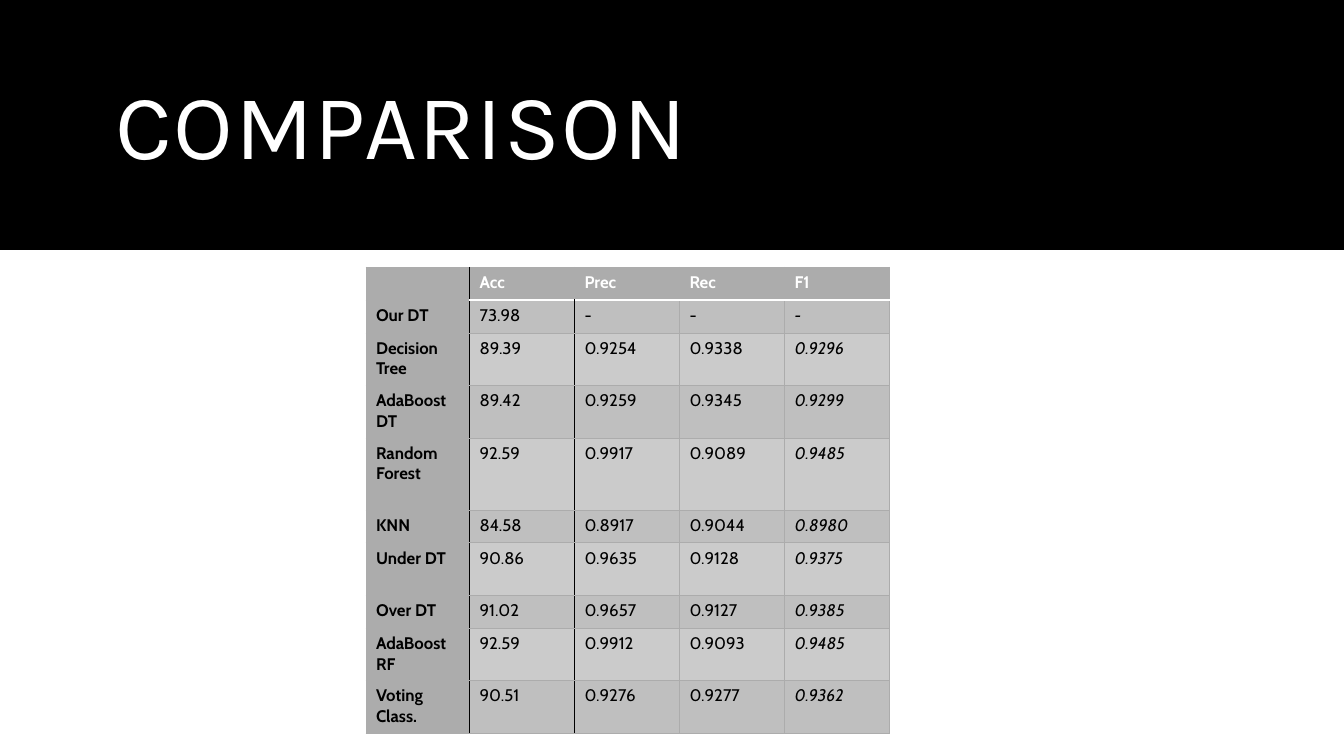
from dataclasses import dataclass

from lxml.etree import SubElement
from pptx import Presentation
from pptx.dml.color import RGBColor
from pptx.enum.shapes import MSO_SHAPE
from pptx.enum.text import MSO_ANCHOR
from pptx.oxml.ns import qn
from pptx.util import Pt


@dataclass(frozen=True)
class Theme:
    black: str = "000000"
    white: str = "FFFFFF"
    grey: str = "ACACAC"
    dark_band: str = "BFBFBF"
    light_band: str = "CBCBCB"
    title_font: str = "Karla"
    table_font: str = "Cabin"
    title_size: float = 66
    table_size: float = 12
    title_spacing: float = 1.2
    thin: float = 0.5
    thick: float = 1


class SlideBuilder:
    def __init__(self, slide, theme):
        self.slide = slide
        self.theme = theme

    def band(self, left, top, width, height, color):
        band = self.slide.shapes.add_shape(
            MSO_SHAPE.RECTANGLE, Pt(left), Pt(top), Pt(width), Pt(height))
        band.shadow.inherit = False
        band.fill.solid()
        band.fill.fore_color.rgb = RGBColor.from_string(color)
        band.line.fill.background()

    def run(self, paragraph, text, font, size, color, bold=False, italic=False):
        run = paragraph.add_run()
        run.text = text
        run.font.name = font
        run.font.size = Pt(size)
        run.font.bold = bold
        run.font.italic = italic
        run.font.color.rgb = RGBColor.from_string(color)
        return run

    def title(self, left, top, width, height, text):
        theme = self.theme
        frame = self.slide.shapes.add_textbox(
            Pt(left), Pt(top), Pt(width), Pt(height)).text_frame
        frame.word_wrap = True
        frame.vertical_anchor = MSO_ANCHOR.MIDDLE
        paragraph = frame.paragraphs[0]
        paragraph.line_spacing = 0.9
        run = self.run(paragraph, text, theme.title_font, theme.title_size, theme.white)
        run.font._element.set("spc", str(round(theme.title_spacing * 100)))

    def border(self, cell, side, color, width):
        line = SubElement(cell._tc.get_or_add_tcPr(), qn(f"a:ln{side}"), w=str(Pt(width)))
        SubElement(SubElement(line, qn("a:solidFill")), qn("a:srgbClr"), val=color)

    def borders(self, cell, row, column):
        theme = self.theme
        thin, divider = (theme.grey, theme.thin), (theme.black, theme.thick)
        header_rule = (theme.white, theme.thick)

        def vertical(edge):
            # The second divider starts below the header row
            return divider if edge == 1 or (edge == 2 and row > 0) else thin

        sides = {
            "L": vertical(column),
            "R": vertical(column + 1),
            "T": header_rule if row == 1 and column > 0 else thin,
            "B": header_rule if row == 0 and column > 0 else thin,
        }
        for side, (color, width) in sides.items():
            self.border(cell, side, color, width)

    def table(self, left, top, widths, heights, rows):
        theme = self.theme
        table = self.slide.shapes.add_table(
            len(rows), len(widths), Pt(left), Pt(top),
            Pt(sum(widths)), Pt(sum(heights))).table
        for column, width in zip(table.columns, widths):
            column.width = Pt(width)
        for r, (height, texts) in enumerate(zip(heights, rows)):
            table.rows[r].height = Pt(height)
            for c, text in enumerate(texts):
                cell = table.cell(r, c)
                heading = r == 0 or c == 0
                band = theme.dark_band if r % 2 else theme.light_band
                self.borders(cell, r, c)
                cell.fill.solid()
                cell.fill.fore_color.rgb = RGBColor.from_string(
                    theme.grey if heading else band)
                paragraph = cell.text_frame.paragraphs[0]
                paragraph.font.size = Pt(theme.table_size)
                if text:
                    self.run(paragraph, text, theme.table_font, theme.table_size,
                             theme.white if r == 0 else theme.black,
                             bold=heading, italic=r > 0 and c == len(texts) - 1)


SCORES = [
    ("", "Acc", "Prec", "Rec", "F1"),
    ("Our DT", "73.98", "-", "-", "-"),
    ("Decision Tree", "89.39", "0.9254", "0.9338", "0.9296"),
    ("AdaBoost DT", "89.42", "0.9259", "0.9345", "0.9299"),
    ("Random Forest", "92.59", "0.9917", "0.9089", "0.9485"),
    ("KNN", "84.58", "0.8917", "0.9044", "0.8980"),
    ("Under DT", "90.86", "0.9635", "0.9128", "0.9375"),
    ("Over DT", "91.02", "0.9657", "0.9127", "0.9385"),
    ("AdaBoost RF", "92.59", "0.9912", "0.9093", "0.9485"),
    ("Voting Class.", "90.51", "0.9276", "0.9277", "0.9362"),
]
SINGLE, DOUBLE, TRIPLE = 23.5, 37.5, 51.5
ROW_HEIGHTS = [SINGLE, SINGLE, DOUBLE, DOUBLE, TRIPLE,
               SINGLE, DOUBLE, SINGLE, DOUBLE, DOUBLE]
COLUMN_WIDTHS = [74] + [75] * 4


def main():
    presentation = Presentation()
    presentation.slide_width, presentation.slide_height = Pt(960), Pt(540)
    theme = Theme()
    slide = presentation.slides.add_slide(presentation.slide_layouts[6])
    builder = SlideBuilder(slide, theme)

    # Heading band
    builder.band(0, 0, 960, 178.5, theme.black)
    builder.title(75.6, 25.2, 808.5, 134, "COMPARISON")

    # Classifier scores
    builder.table(261.4, 190.8, COLUMN_WIDTHS, ROW_HEIGHTS, SCORES)

    presentation.save("out.pptx")


if __name__ == "__main__":
    main()
